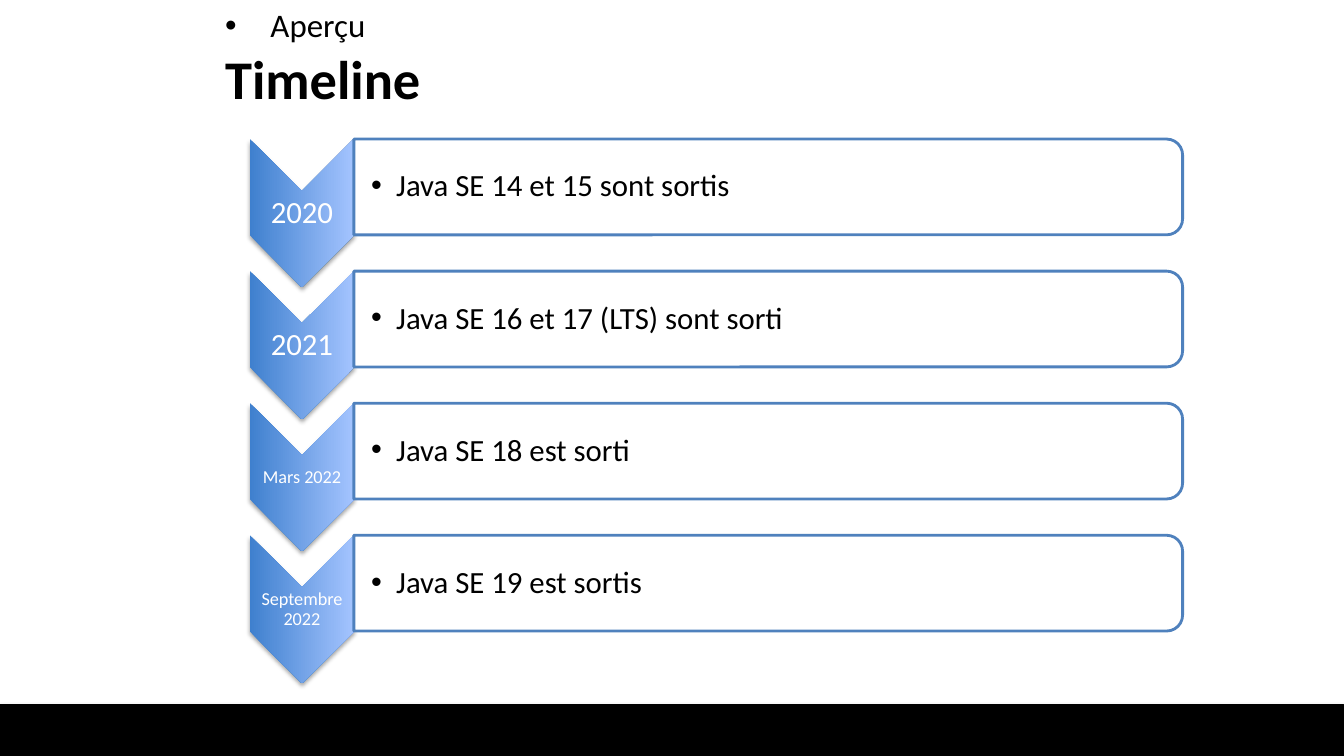
from lxml import etree
from pptx import Presentation
from pptx.dml.color import RGBColor
from pptx.enum.shapes import MSO_SHAPE
from pptx.enum.text import MSO_ANCHOR, MSO_AUTO_SIZE, PP_ALIGN
from pptx.oxml.ns import qn
from pptx.util import Inches, Pt

BAR = MSO_SHAPE.RECTANGLE
CHEVRON = MSO_SHAPE.CHEVRON
PANEL = MSO_SHAPE.ROUND_2_SAME_RECTANGLE
TOP, MIDDLE = MSO_ANCHOR.TOP, MSO_ANCHOR.MIDDLE
LEFT, CENTER = PP_ALIGN.LEFT, PP_ALIGN.CENTER
NO_FIT = MSO_AUTO_SIZE.NONE

BLACK, WHITE, BLUE = "000000", "FFFFFF", "4F81BD"
GRADIENT = ("3F80CE", "A4C4FF")

HEADING_LEFT, HEADING_WIDTH = 16, 76.6
MARKER_LEFT, MARKER_WIDTH, MARKER_HEIGHT = 18.6, 7.73, 19.6
PANEL_LEFT, PANEL_WIDTH, PANEL_HEIGHT = 26.33, 61.66, 12.67
FIRST_ROW, ROW_PITCH = 18.4, 17.47

MILESTONES = [
    ("2020", 22, "Java SE 14 et 15 sont sortis"),
    ("2021", 22, "Java SE 16 et 17 (LTS) sont sorti"),
    ("Mars 2022", 13, "Java SE 18 est sorti"),
    ("Septembre 2022", 13, "Java SE 19 est sortis"),
]


def color(value):
    return RGBColor.from_string(value)


class TimelineSlide:
    font = "Calibri"

    def __init__(self, deck):
        self.deck = deck
        self.page = deck.slides.add_slide(deck.slide_layouts[1])

    def frame(self, left, top, width, height):
        across, down = self.deck.slide_width / 100, self.deck.slide_height / 100
        return [round(n) for n in (left * across, top * down, width * across, height * down)]

    def shadow(self, shape, tint):
        effects = shape._element.spPr.find(qn("a:effectLst"))
        outer = etree.SubElement(effects, qn("a:outerShdw"), blurRad=str(Pt(3.1)),
                                 dist=str(Pt(1.8)), dir="5400000", rotWithShape="0")
        shade = etree.SubElement(outer, qn("a:srgbClr"), val=tint)
        etree.SubElement(shade, qn("a:alpha"), val="35000")

    def shape(self, kind, area, turned=False):
        left, top, width, height = self.frame(*area)
        if turned:
            left, top = left + (width - height) // 2, top + (height - width) // 2
            width, height = height, width
        shape = self.page.shapes.add_shape(kind, left, top, width, height)
        shape.rotation = 90 if turned else 0
        shape.shadow.inherit = False
        return shape

    def bar(self, area):
        bar = self.shape(BAR, area)
        bar.fill.solid()
        bar.fill.fore_color.rgb = color(BLACK)
        bar.line.color.rgb = color(BLACK)
        bar.line.width = Pt(0.75)
        self.shadow(bar, "808080")

    def marker(self, area):
        chevron = self.shape(CHEVRON, area, turned=True)
        chevron.fill.gradient()
        chevron.fill.gradient_angle = 90
        for position, (stop, tint) in enumerate(zip(chevron.fill.gradient_stops, GRADIENT)):
            stop.position = position
            stop.color.rgb = color(tint)
        chevron.line.fill.background()
        self.shadow(chevron, BLACK)

    def panel(self, area):
        panel = self.shape(PANEL, area, turned=True)
        panel.fill.solid()
        panel.fill.fore_color.rgb = color(WHITE)
        panel.line.color.rgb = color(BLUE)
        panel.line.width = Pt(2)

    def add_text(self, box, text, size, tint=BLACK, bold=False, align=LEFT,
                 anchor=MIDDLE, bullet=0, spacing=1):
        frame = box.text_frame
        frame.word_wrap = True
        frame.auto_size = NO_FIT
        frame.vertical_anchor = anchor
        para = frame.paragraphs[0]
        para.alignment = align
        para.line_spacing = spacing
        para.space_before = Pt(0)
        if bullet:
            properties = para._p.get_or_add_pPr()
            properties.set("marL", str(Inches(bullet)))
            properties.set("indent", str(-Inches(bullet)))
            etree.SubElement(properties, qn("a:buFont"), typeface="Arial")
            etree.SubElement(properties, qn("a:buChar"), char="•")
        span = para.add_run()
        span.text = text
        span.font.name = self.font
        span.font.size = Pt(size)
        span.font.bold = bold
        span.font.color.rgb = color(tint)

    def heading(self, index, area, text, size, **style):
        box = self.page.placeholders[index]
        box.left, box.top, box.width, box.height = self.frame(*area)
        self.add_text(box, text, size, **style)

    def label(self, area, text, size, inset=0.02, **style):
        box = self.page.shapes.add_textbox(*self.frame(*area))
        frame = box.text_frame
        frame.margin_left = Inches(inset)
        frame.margin_right = frame.margin_top = frame.margin_bottom = Inches(0.02)
        self.add_text(box, text, size, spacing=0.9, **style)

    def milestone(self, top, date, date_size, event):
        self.marker((MARKER_LEFT, top, MARKER_WIDTH, MARKER_HEIGHT))
        self.label((MARKER_LEFT, top + 6.93, MARKER_WIDTH, 5.87), date, date_size,
                   tint=WHITE, align=CENTER)
        self.panel((PANEL_LEFT, top, PANEL_WIDTH, PANEL_HEIGHT))
        self.label((PANEL_LEFT, top + 0.6, PANEL_WIDTH, PANEL_HEIGHT - 1.2), event, 22,
                   inset=0.17, bullet=0.25)


def main():
    deck = Presentation()
    deck.slide_width, deck.slide_height = Inches(13.33), Inches(7.5)
    slide = TimelineSlide(deck)
    slide.bar((0, 93.2, 100, 6.8))
    slide.heading(1, (HEADING_LEFT, 0, HEADING_WIDTH, 5.87), "Aperçu", 23.5,
                  anchor=TOP, bullet=0.45)
    slide.heading(0, (HEADING_LEFT, 5.87, HEADING_WIDTH, 8.8), "Timeline", 38.9, bold=True)
    for row, (date, date_size, event) in enumerate(MILESTONES):
        slide.milestone(FIRST_ROW + row * ROW_PITCH, date, date_size, event)
    deck.save("out.pptx")


if __name__ == "__main__":
    main()
